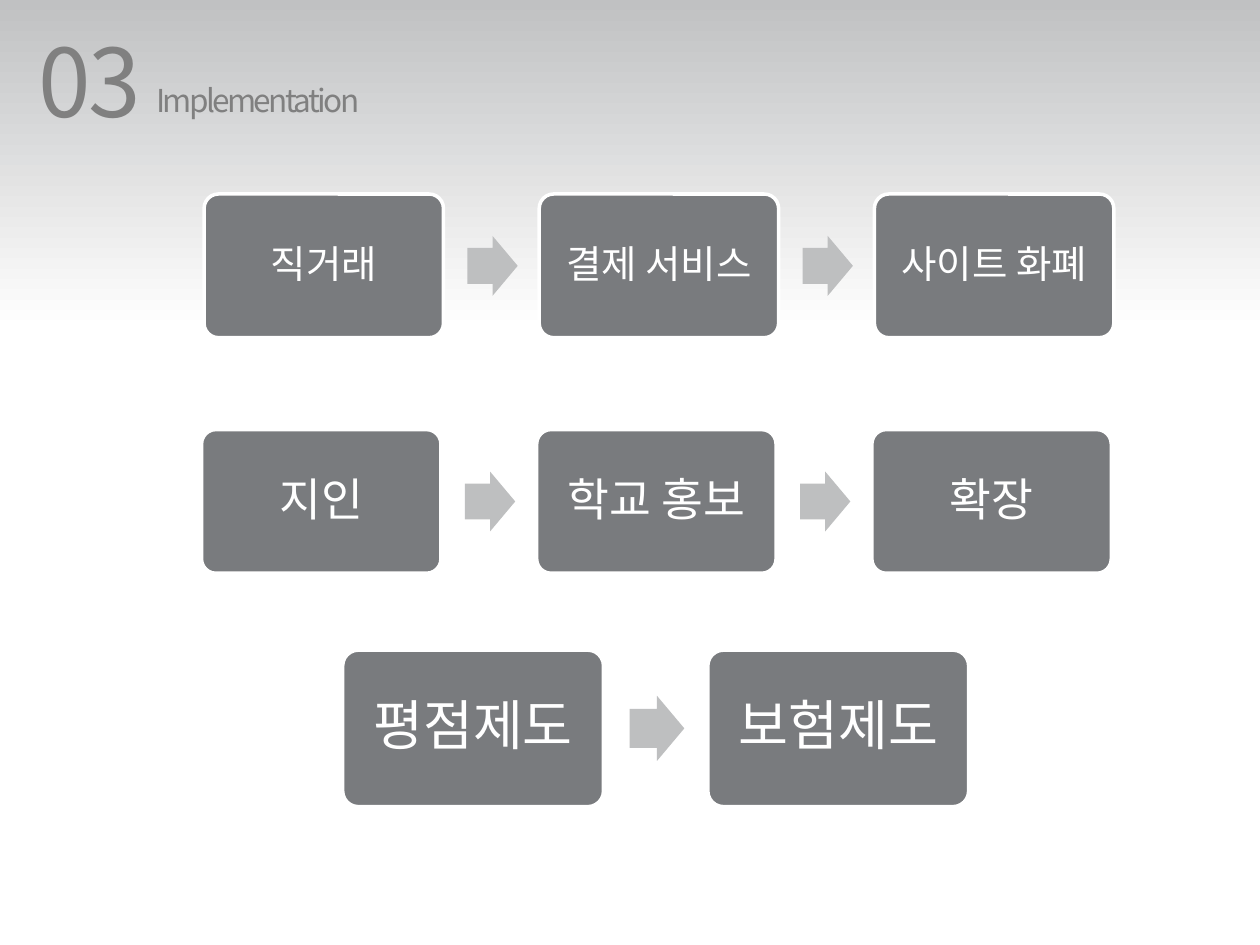
from lxml import etree
from pptx import Presentation
from pptx.dml.color import RGBColor
from pptx.enum.shapes import MSO_SHAPE
from pptx.enum.text import MSO_ANCHOR, PP_ALIGN
from pptx.oxml.ns import qn
from pptx.util import Inches, Pt

ROUNDED = MSO_SHAPE.ROUNDED_RECTANGLE
ARROW = MSO_SHAPE.RIGHT_ARROW
MIDDLE = MSO_ANCHOR.MIDDLE
CENTER = PP_ALIGN.CENTER

FONT = "Noto Sans CJK KR"
COLORS = {
    "top": "C0C1C2",
    "white": "FFFFFF",
    "heading": "808080",
    "box": "797B7E",
    "arrow": "BEBFC0",
}


def color(name):
    return RGBColor.from_string(COLORS[name])


def apply_format(target, values):
    for name, value in values.items():
        setattr(target, name, value)


class SlideBuilder:
    def __init__(self, slide):
        self.slide = slide

    def background(self):
        fill = self.slide.background.fill
        fill.gradient()
        fill.gradient_angle = 270
        stops = (("top", 0), ("white", 0.35))
        for stop, (name, position) in zip(fill.gradient_stops, stops):
            stop.color.rgb = color(name)
            stop.position = position

    def add_text(self, paragraph, text, size, color_name, spacing=0):
        run = paragraph.add_run()
        run.text = text
        apply_format(run.font, {"name": FONT, "size": Pt(size)})
        run.font.color.rgb = color(color_name)
        properties = run._r.get_or_add_rPr()
        etree.SubElement(properties, qn("a:ea")).set("typeface", FONT)
        if spacing:
            properties.set("spc", str(int(spacing * 100)))

    def heading(self, text, left, top, width, height, size):
        shape = self.slide.shapes.add_textbox(
            Inches(left), Inches(top), Inches(width), Inches(height))
        shape.text_frame.word_wrap = True
        self.add_text(shape.text_frame.paragraphs[0], text, size, "heading", -1.5)

    def shape(self, kind, left, top, width, height, fill, adjustments):
        shape = self.slide.shapes.add_shape(
            kind, Inches(left), Inches(top), Inches(width), Inches(height))
        shape.shadow.inherit = False
        shape.fill.solid()
        shape.fill.fore_color.rgb = color(fill)
        for index, value in enumerate(adjustments):
            shape.adjustments[index] = value
        return shape

    def box(self, text, left, top, width, height, size, inset):
        shape = self.shape(ROUNDED, left, top, width, height, "box", [0.1])
        shape.line.color.rgb = color("white")
        shape.line.width = Pt(2)
        margins = {f"margin_{side}": Inches(inset)
                   for side in ("left", "top", "right", "bottom")}
        apply_format(shape.text_frame, {
            "word_wrap": True, "vertical_anchor": MIDDLE, **margins})
        paragraph = shape.text_frame.paragraphs[0]
        apply_format(paragraph, {"alignment": CENTER, "line_spacing": 0.9})
        self.add_text(paragraph, text, size, "white")

    def arrow(self, left, middle, width, height):
        shape = self.shape(ARROW, left, middle - height / 2, width, height,
                           "arrow", [0.6, 0.5])
        shape.line.fill.background()

    def process(self, labels, left, top, width, size, inset):
        """A row of boxes with arrows, all in proportion to the box width."""
        height = 0.6 * width
        for index, label in enumerate(labels):
            box_left = left + index * 1.4 * width
            if index:
                self.arrow(box_left - 0.3 * width, top + height / 2,
                           0.21 * width, 0.25 * width)
            self.box(label, box_left, top, width, height, size, inset)


def main():
    presentation = Presentation()
    presentation.slide_width = Inches(10)
    presentation.slide_height = Inches(7.5)
    slide = presentation.slides.add_slide(presentation.slide_layouts[6])
    builder = SlideBuilder(slide)

    # Background and heading
    builder.background()
    builder.heading("03", 0.21, 0.13, 2.83, 1.01, 54)
    builder.heading("Implementation", 1.14, 0.59, 4.88, 0.4, 18)

    # Process rows: labels, left, top, box width, text size, inset
    rows = (
        (("직거래", "결제 서비스", "사이트 화폐"), 1.62, 1.54, 1.9, 22, 0.09),
        (("지인", "학교 홍보", "확장"), 1.6, 3.41, 1.9, 26, 0.11),
        (("평점제도", "보험제도"), 2.72, 5.16, 2.07, 31, 0.13),
    )
    for row in rows:
        builder.process(*row)

    presentation.save("out.pptx")


if __name__ == "__main__":
    main()
